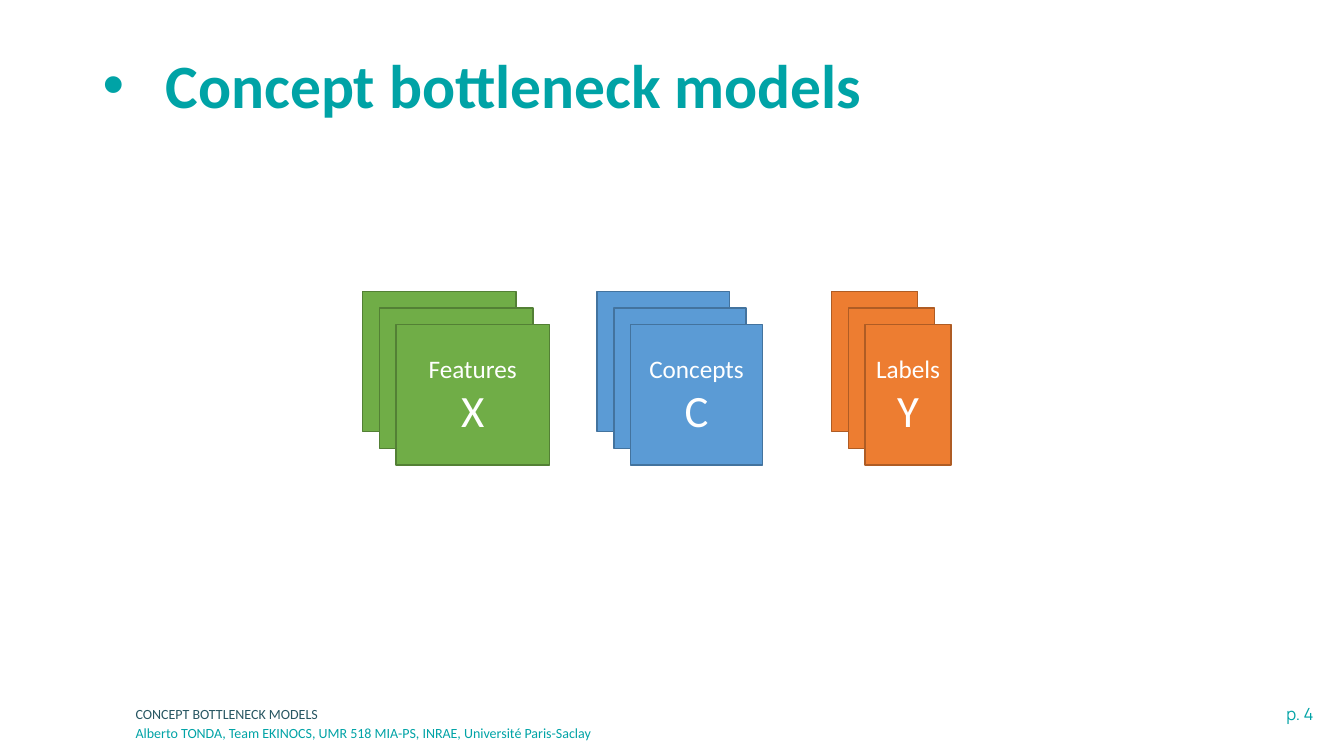
"""Build the slide on concept bottleneck models."""
from lxml.etree import SubElement
from pptx import Presentation
from pptx.dml.color import RGBColor
from pptx.enum.shapes import MSO_SHAPE
from pptx.enum.text import MSO_ANCHOR, PP_ALIGN
from pptx.oxml.ns import qn
from pptx.util import Cm, Pt

COLOURS = {
    "teal": "00A3A6", "dark teal": "275662", "white": "FFFFFF",
    "green": "70AD47", "green edge": "538035",
    "blue": "5B9BD5", "blue edge": "43739E",
    "orange": "ED7D31", "orange edge": "AF5C24",
}
TITLE = "Concept bottleneck models"
FOOTERS = [
    ("p. 4", 27.56, 17.6, 5.79, 12, "Manrope", "teal", PP_ALIGN.RIGHT),
    ("CONCEPT BOTTLENECK MODELS", 3.17, 17.65, 18.64, 10, "Calibri", "dark teal", PP_ALIGN.LEFT),
    ("Alberto TONDA, Team EKINOCS, UMR 518 MIA-PS, INRAE, Université Paris-Saclay",
     3.17, 18.14, 18.64, 10, "Calibri", "teal", PP_ALIGN.LEFT),
]
STACKS = [
    ("Features", "X", 3.87, "green"),
    ("Concepts", "C", 3.33, "blue"),
    ("Labels", "Y", 2.17, "orange"),
]
STACK_LEFT, STACK_TOP, STACK_PITCH = 9.14, 7.34, 5.91
CARD_HEIGHT, CARD_OFFSET, CARDS = 3.54, 0.42, 3


def colour(name):
    return RGBColor.from_string(COLOURS[name])


def style(para, size, name, font="Calibri", bold=False):
    for span in para.runs:
        span.font.size = Pt(size)
        span.font.name = font
        span.font.bold = bold
        span.font.color.rgb = colour(name)


def add_title(page):
    title = page.shapes.title
    title.left, title.top, title.width, title.height = Cm(2.33), Cm(1.01), Cm(29.21), Cm(2.42)
    title.text_frame.text = TITLE
    title.text_frame.vertical_anchor = MSO_ANCHOR.MIDDLE
    para = title.text_frame.paragraphs[0]
    para.alignment = PP_ALIGN.LEFT
    para.line_spacing = 0.9
    properties = para._p.get_or_add_pPr()
    indent = Cm(1.59)
    properties.set("marL", str(indent))
    properties.set("indent", str(-indent))
    SubElement(properties, qn("a:buFont"), typeface="Arial")
    SubElement(properties, qn("a:buChar"), char="•")
    style(para, 44, "teal", bold=True)


def add_footer(page, text, left, top, width, size, font, name, alignment):
    box = page.shapes.add_textbox(Cm(left), Cm(top), Cm(width), Cm(0.7))
    box.text_frame.word_wrap = True
    box.text_frame.text = text
    para = box.text_frame.paragraphs[0]
    para.alignment = alignment
    style(para, size, name, font)


def add_stack(page, left, label, symbol, width, name):
    for index in range(CARDS):
        shift = index * CARD_OFFSET
        card = page.shapes.add_shape(MSO_SHAPE.RECTANGLE, Cm(left + shift), Cm(STACK_TOP + shift),
                                     Cm(width), Cm(CARD_HEIGHT))
        card.shadow.inherit = False
        card.fill.solid()
        card.fill.fore_color.rgb = colour(name)
        card.line.color.rgb = colour(f"{name} edge")
        card.line.width = Pt(1)
    frame = card.text_frame
    frame.text = f"{label}\n{symbol}"
    frame.vertical_anchor = MSO_ANCHOR.MIDDLE
    for para, size in zip(frame.paragraphs, (18, 32)):
        para.alignment = PP_ALIGN.CENTER
        style(para, size, "white")


def main():
    deck = Presentation()
    deck.slide_width, deck.slide_height = Cm(33.87), Cm(19.05)
    page = deck.slides.add_slide(deck.slide_layouts[5])
    add_title(page)
    for footer in FOOTERS:
        add_footer(page, *footer)
    for index, stack in enumerate(STACKS):
        add_stack(page, STACK_LEFT + index * STACK_PITCH, *stack)
    deck.save("out.pptx")


if __name__ == "__main__":
    main()
